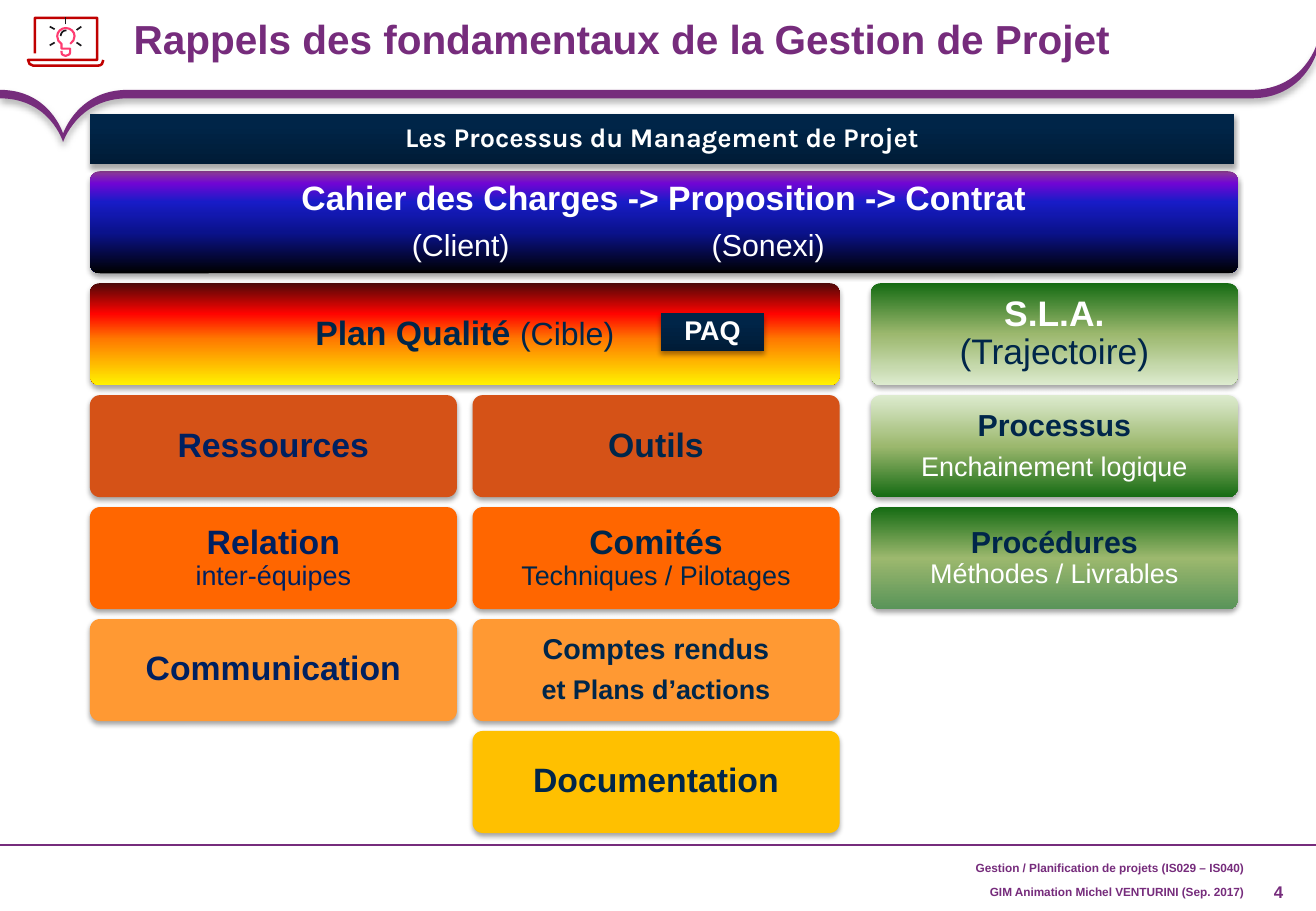
from dataclasses import dataclass

from lxml import etree
from pptx import Presentation
from pptx.dml.color import RGBColor
from pptx.enum import shapes, text
from pptx.oxml import ns
from pptx.util import Pt


@dataclass(frozen=True)
class Theme:
    font: str = "Arial"
    header_font: str = "Karla"
    purple: str = "762C7C"
    navy: str = "00264A"
    blue: str = "002060"
    white: str = "FFFFFF"
    red: str = "C00000"
    pink: str = "FE3C71"
    ink: str = "1A171B"
    rust: str = "D55217"
    orange: str = "FF6600"
    apricot: str = "FF9933"
    gold: str = "FFC000"
    # Gradient stops run from top to bottom
    night: tuple = ((0, "002548"), (20, "002548"), (100, "001C37"))
    violet: tuple = ((0, "8C3D91"), (12, "7005D4"), (30, "181CC7"), (60, "0A128C"), (100, "000000"))
    fire: tuple = ((0, "4D0808"), (30, "FF0300"), (55, "FF7A00"), (100, "FFF200"))
    green: tuple = ((0, "156B13"), (50, "9CB86E"), (100, "DDEBCF"))
    green_up: tuple = ((0, "DDEBCF"), (50, "9CB86E"), (100, "156B13"))
    green_dark: tuple = ((0, "156B13"), (50, "9CB86E"), (100, "599459"))
    title: float = 24
    sla: float = 21
    large: float = 20
    cible: float = 19
    medium: float = 18
    comptes: float = 17
    small: float = 16
    number: float = 10
    footer: float = 7


T = Theme()
ALIGN = text.PP_ALIGN

# Content: a run is (text, size, colour, bold); a leading \v starts a new line
TITLE = "Rappels des fondamentaux de la Gestion de Projet"
HEADER = "Les Processus du Management de Projet"
CLIENT_TABS = (183.2, 361)

# Blocks: row, first column, last column, fill, paragraphs
BLOCKS = [
    (0, 0, 2, T.violet, [[("Cahier des Charges -> Proposition -> Contrat", T.large, T.white, True)],
                         [("\t(Client)\t(Sonexi)", T.medium, T.white, False)]]),
    (1, 0, 1, T.fire, [[("Plan Qualité ", T.large, T.navy, True), ("(Cible)", T.cible, T.navy, False)]]),
    (2, 0, 0, T.rust, [[("Ressources", T.large, T.blue, True)]]),
    (3, 0, 0, T.orange, [[("Relation", T.large, T.blue, True), ("\vinter-équipes", T.small, T.blue, False)]]),
    (4, 0, 0, T.apricot, [[("Communication", T.large, T.blue, True)]]),
    (2, 1, 1, T.rust, [[("Outils", T.large, T.navy, True)]]),
    (3, 1, 1, T.orange, [[("Comités", T.large, T.navy, True),
                          ("\vTechniques / Pilotages", T.small, T.navy, False)]]),
    (4, 1, 1, T.apricot, [[("Comptes rendus", T.comptes, T.navy, True)],
                          [("et Plans d’actions", T.small, T.navy, True)]]),
    (5, 1, 1, T.gold, [[("Documentation", T.large, T.navy, True)]]),
    (1, 2, 2, T.green, [[("S.L.A.", T.sla, T.white, True), ("\v(Trajectoire)", T.sla, T.navy, False)]]),
    (2, 2, 2, T.green_up, [[("Processus", T.medium, T.navy, True)],
                           [("Enchainement logique", T.small, T.white, False)]]),
    (3, 2, 2, T.green_dark, [[("Procédures", T.medium, T.navy, True),
                              ("\vMéthodes / Livrables", T.small, T.white, False)]]),
]

# Plates: box, text, font
PLATES = [((53.3, 67.7, 678.2, 29.5), HEADER, T.header_font),
          ((391.7, 185.8, 61.2, 22.3), "PAQ", T.font)]

# Footer: box, text, size, alignment
FOOTER = [((530, 506.2, 210.2, 15.1), "Gestion / Planification de projets (IS029 – IS040)", T.footer, ALIGN.RIGHT),
          ((530, 521.3, 210.2, 14.4), "GIM Animation Michel VENTURINI (Sep. 2017)", T.footer, ALIGN.RIGHT),
          ((748.8, 522.5, 18, 12.5), "4", T.number, ALIGN.CENTER)]

# Outlines: two numbers make a straight step, six a Bezier curve
BANNER = [(741.6, 53.3), (75.6, 53.3), (46, 53.3, 37.4, 79.2, 37.4, 79.2), (37.4, 79.2, 29.5, 53.3, 0, 53.3),
          (0, 58.3), (29.5, 58.3, 37.4, 84.2, 37.4, 84.2), (37.4, 84.2, 46, 58.3, 75.6, 58.3),
          (741.6, 58.3), (771.8, 58.3, 780, 32.4, 780, 32.4), (780, 27.4), (780, 27.4, 771.8, 53.3, 741.6, 53.3)]
LAPTOP = [(61.2, 35.6), (61.2, 37.4, 60.2, 38.9, 58.3, 38.9), (19.6, 38.9), (18, 38.9, 16.6, 37.4, 16.6, 35.6),
          (57.6, 35.6), (57.6, 10.6), (20.7, 10.6), (20.7, 31.7)]
BULB = [(41.6, 26), (43.2, 25.2, 44.2, 23.2, 44.2, 21.4), (44.2, 18.8, 41.9, 16.6, 39, 16.6),
        (36.2, 16.6, 33.9, 18.8, 33.9, 21.4), (33.9, 23.2, 34.8, 25.2, 36.5, 26), (36.5, 28.8), (41.6, 28.8),
        (41.6, 31), (41.6, 32, 41, 32.6, 40.3, 32.6), (40, 33.3, 37.8, 33.3, 37.4, 32.6),
        (36.8, 32.4, 36.5, 32, 36.5, 31), (36.5, 30.2)]
GLINT = [(36, 21.4), (36, 19.5, 37.4, 18, 39.4, 18)]
RAYS = [(38.9, 14.4, 38.9, 10.1), (32.4, 17.3, 29.5, 15.8), (32.4, 25.2, 29.5, 26.9),
        (45.4, 25.2, 48.2, 27.1), (45.4, 17.8, 48.2, 15.8)]

# Block grid
COLUMNS = (53.3, 280.1, 516.2)
COLUMN_WIDTH, ROW_TOP, ROW_PITCH, ROW_HEIGHT = 217.6, 101.5, 66.36, 60.5


def points(*values):
    return [Pt(value) for value in values]


def add_shadow(shape, alpha=35, blur=3.1, distance=1.8):
    shape.shadow.inherit = False
    effects = shape._element.spPr.find(ns.qn("a:effectLst"))
    outer = etree.SubElement(effects, ns.qn("a:outerShdw"), blurRad=str(Pt(blur)), dist=str(Pt(distance)),
                             dir="5400000", algn="ctr", rotWithShape="0")
    color = etree.SubElement(outer, ns.qn("a:srgbClr"), val="000000")
    etree.SubElement(color, ns.qn("a:alpha"), val=str(alpha * 1000))


def paint(shape, fill):
    shape.line.fill.background()
    if isinstance(fill, str):
        shape.fill.solid()
        shape.fill.fore_color.rgb = RGBColor.from_string(fill)
        return
    shape.fill.gradient()
    shape.fill.gradient_angle = 270
    stops = shape._element.spPr.find(".//" + ns.qn("a:gsLst"))
    for stop in list(stops):
        stops.remove(stop)
    for position, color in fill:
        stop = etree.SubElement(stops, ns.qn("a:gs"), pos=str(position * 1000))
        etree.SubElement(stop, ns.qn("a:srgbClr"), val=color)


def style(run, size, color, bold, font=T.font):
    run.font.name, run.font.size, run.font.bold = font, Pt(size), bold
    run.font.color.rgb = RGBColor.from_string(color)


def set_frame(frame, margins, anchor=text.MSO_ANCHOR.MIDDLE):
    frame.word_wrap, frame.vertical_anchor = True, anchor
    frame.auto_size = text.MSO_AUTO_SIZE.NONE
    frame.margin_left, frame.margin_top, frame.margin_right, frame.margin_bottom = points(*margins)


def set_line(frame, words, size, color, align, font=T.font):
    frame.text = words
    paragraph = frame.paragraphs[0]
    paragraph.alignment = align
    style(paragraph.runs[0], size, color, True, font)


def add_tabs(paragraph, positions):
    paragraph.alignment = ALIGN.LEFT
    tabs = etree.SubElement(paragraph._p.get_or_add_pPr(), ns.qn("a:tabLst"))
    for position in positions:
        etree.SubElement(tabs, ns.qn("a:tab"), pos=str(Pt(position)), algn="l")


def add_box(kind, box, fill):
    shape = slide.shapes.add_shape(kind, *points(*box))
    paint(shape, fill)
    add_shadow(shape)
    return shape


def add_outline(steps, closed=False):
    vertices = [points(*step[i:i + 2]) for step in steps for i in range(0, len(step), 2)]
    builder = slide.shapes.build_freeform(*vertices[0], scale=1.0)
    builder.add_line_segments(vertices[1:], close=closed)
    shape = builder.convert_to_shape()
    shape.shadow.inherit = False
    # Merge each three straight segments of a curve into one Bezier segment
    segments = iter(shape._element.spPr.findall(".//" + ns.qn("a:lnTo")))
    for step in steps[1:]:
        segment = next(segments)
        if len(step) == 6:
            segment.addprevious(curve := etree.Element(ns.qn("a:cubicBezTo")))
            for part in (segment, next(segments), next(segments)):
                curve.append(part[0])
                part.getparent().remove(part)
    return shape


def add_rule(ends, color):
    connector = slide.shapes.add_connector(shapes.MSO_CONNECTOR.STRAIGHT, *points(*ends))
    connector.line.color.rgb, connector.line.width = RGBColor.from_string(color), Pt(1)
    etree.SubElement(connector._element.spPr, ns.qn("a:effectLst"))


presentation = Presentation()
presentation.slide_width, presentation.slide_height = points(780, 540)
slide = presentation.slides.add_slide(presentation.slide_layouts[5])

# Footer and banner
for box, words, size, align in FOOTER:
    frame = slide.shapes.add_textbox(*points(*box)).text_frame
    set_frame(frame, (2.9, 0, 2.9, 2.9) if size == T.footer else (0, 0, 0, 0),
              text.MSO_ANCHOR.BOTTOM if size == T.footer else text.MSO_ANCHOR.MIDDLE)
    set_line(frame, words, size, T.purple, align)
add_rule((780, 500.8, 0, 500.8), T.purple)
banner = add_outline(BANNER, closed=True)
paint(banner, T.purple)
add_shadow(banner, 31, 4, 2)

# Title
title = slide.shapes.title
title.left, title.top, title.width, title.height = points(0, 0, 780, 56.9)
set_frame(title.text_frame, (79.2, 8.6, 8.6, 8.6), text.MSO_ANCHOR.TOP)
set_line(title.text_frame, TITLE, T.title, T.purple, ALIGN.LEFT)

# Laptop icon
for steps, color, width in ((LAPTOP, T.red, 1.5), (BULB, T.pink, 1.25), (GLINT, T.ink, 1)):
    outline = add_outline(steps)
    outline.fill.background()
    outline.line.color.rgb, outline.line.width = RGBColor.from_string(color), Pt(width)
for ray in RAYS:
    add_rule(ray, T.ink)

# Process blocks
for row, first, last, fill, paragraphs in BLOCKS:
    left = COLUMNS[first]
    box = (left, ROW_TOP + row * ROW_PITCH, COLUMNS[last] + COLUMN_WIDTH - left, ROW_HEIGHT)
    block = add_box(shapes.MSO_SHAPE.ROUNDED_RECTANGLE, box, fill)
    block.adjustments[0] = 0.1
    frame = block.text_frame
    set_frame(frame, (5.8, 0, 5.8, 0))
    for index, runs in enumerate(paragraphs):
        paragraph = frame.add_paragraph() if index else frame.paragraphs[0]
        paragraph.alignment, paragraph.line_spacing = ALIGN.CENTER, 0.9
        if index < len(paragraphs) - 1:
            paragraph.space_after = Pt(0.35 * runs[0][1])
        for words, *look in runs:
            if words.startswith("\v"):
                paragraph.add_line_break()
            run = paragraph.add_run()
            run.text = words.lstrip("\v")
            style(run, *look)
        if "\t" in runs[0][0]:
            add_tabs(paragraph, CLIENT_TABS)

# Dark plates
for box, words, font in PLATES:
    plate = add_box(shapes.MSO_SHAPE.RECTANGLE, box, T.night)
    set_frame(plate.text_frame, (7.2, 0, 7.2, 2.9))
    set_line(plate.text_frame, words, T.small, T.white, ALIGN.CENTER, font)

presentation.save("out.pptx")
